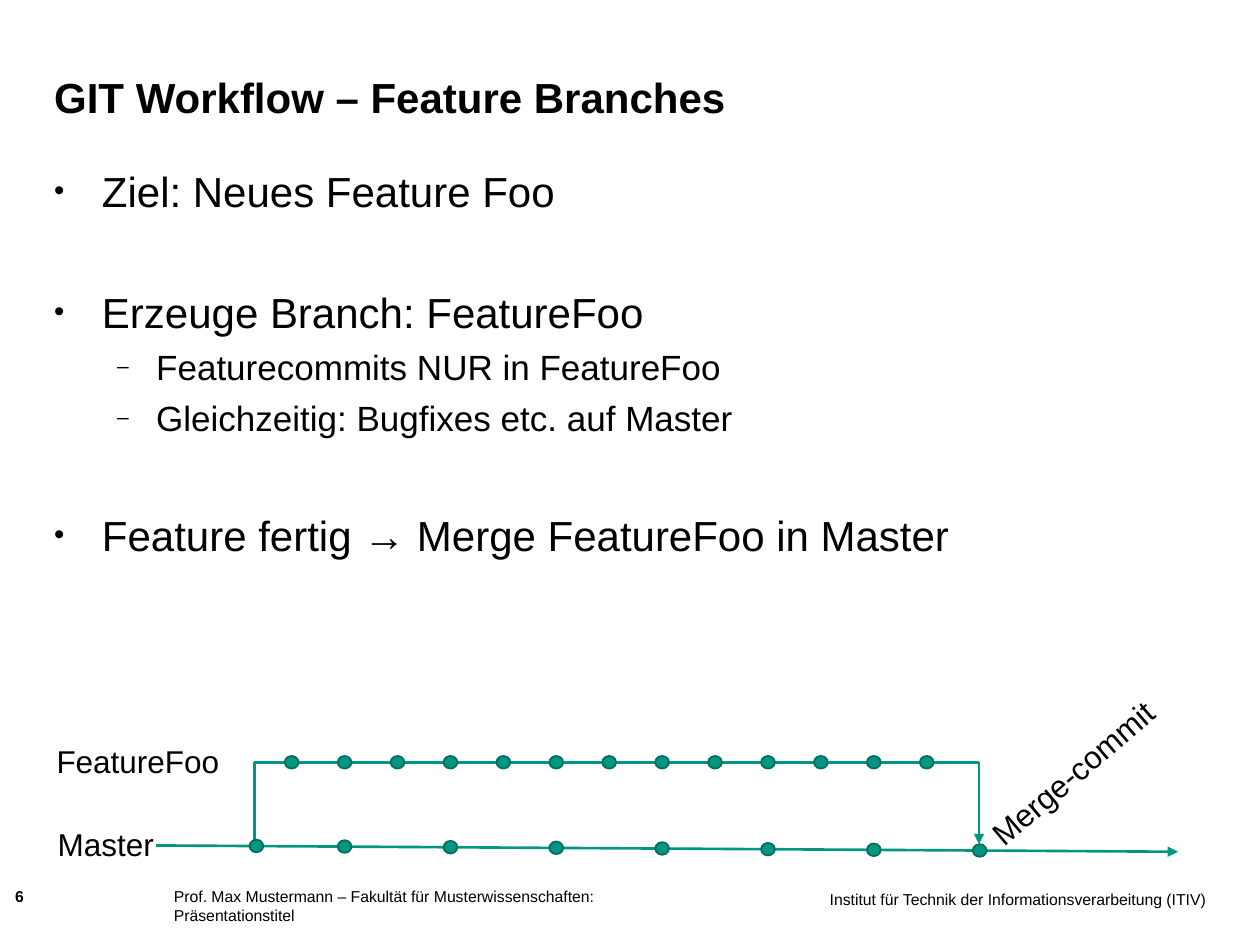
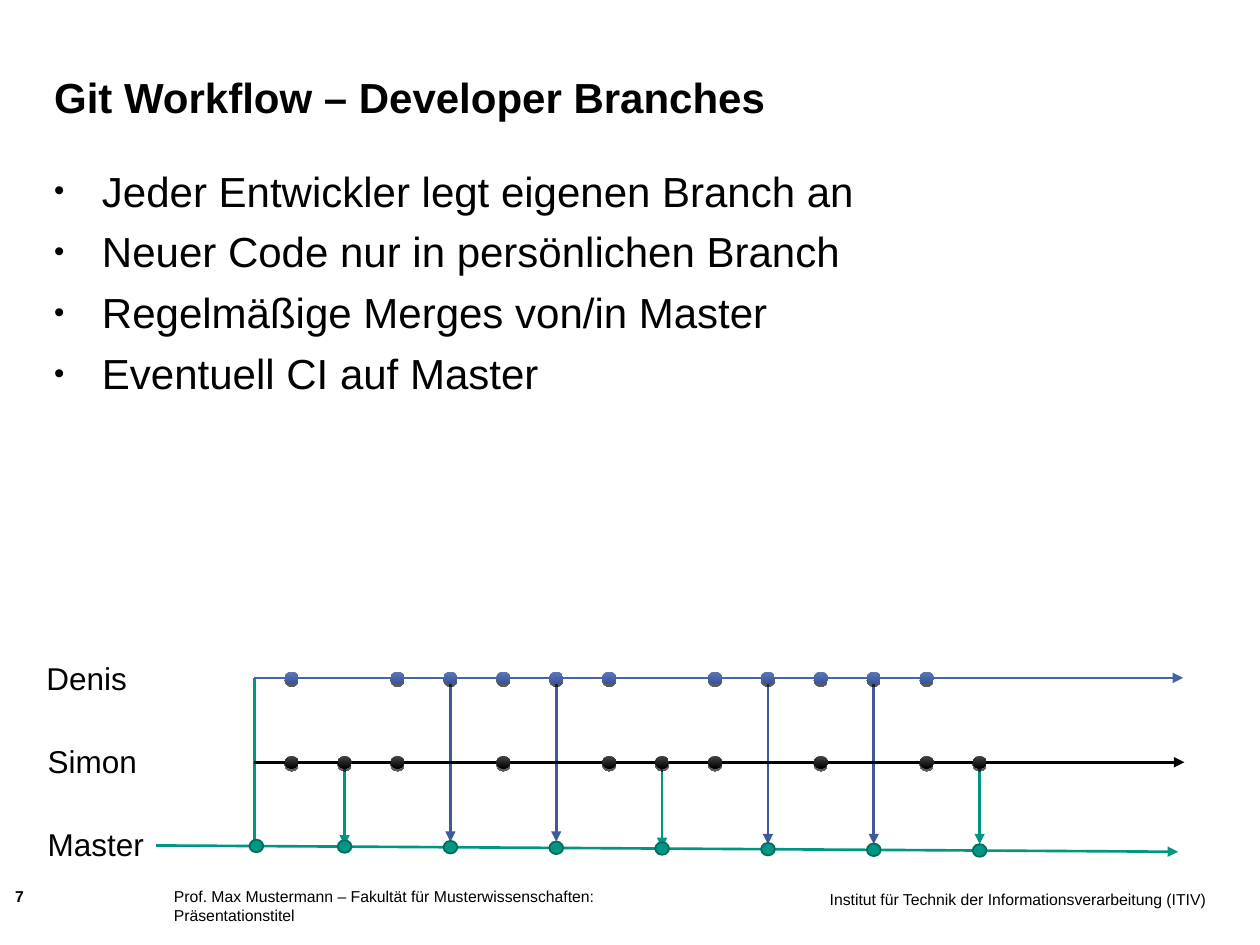
from dataclasses import dataclass
from typing import NamedTuple, Optional

import pptx
import pptx.dml.color
import pptx.enum.shapes
import pptx.enum.text
import pptx.oxml
import pptx.oxml.ns
import pptx.util
from pptx.util import Inches

COLORS = {
    "text": "000000",
    "green": "009682",
    "green_edge": "006D5E",
    "blue": "4664AA",
    "blue_merge": "3F5A9A",
    "blue_top": "6077B5",
    "blue_bottom": "34549F",
    "black": "000000",
    "black_top": "454545",
    "black_bottom": "000000",
}
FONT = "Arial"
FOOTER = "Prof. Max Mustermann – Fakultät für Musterwissenschaften: Präsentationstitel"
INSTITUTE = "Institut für Technik der Informationsverarbeitung (ITIV)"

SLOT_LEFT, SLOT_STEP = 2.26, 0.42
DOT_W, DOT_H = 0.11, 0.1
BRANCH_X, MERGE_X = 2.02, 7.77
LANE_1, LANE_2 = 6.05, 5.38
MASTER_START, MASTER_END = (1.24, 6.71), (9.35, 6.76)
MASTER_SLOTS = range(1, 14, 2)

ALIGN = pptx.enum.text.PP_ALIGN


class Bullet(NamedTuple):
    text: str
    level: int = 0
    gap: bool = False


class BulletStyle(NamedTuple):
    char: str
    scale: int
    size: int
    left: float
    hanging: float
    before: float


class Merge(NamedTuple):
    slot: int
    start: float
    end: float
    color: str


class Label(NamedTuple):
    text: str
    left: float
    top: float
    width: float
    rotation: float = 0


@dataclass(frozen=True)
class DotStyle:
    fill: str
    edge: Optional[str] = None
    fill_end: Optional[str] = None


BULLET_STYLES = (
    BulletStyle("•", 70, 24, 0.38, 0.38, 6),
    BulletStyle("–", 60, 20, 0.81, 0.31, 5),
)
GAP_BEFORE = 40.5
GREEN_DOT = DotStyle("green", edge="green_edge")
BLACK_DOT = DotStyle("black_top", fill_end="black_bottom")
BLUE_DOT = DotStyle("blue_top", fill_end="blue_bottom")


def rgb(name: str):
    return pptx.dml.color.RGBColor.from_string(COLORS[name])


def add_xml(parent, tag: str, inner: str = "", attrs: str = ""):
    ns = pptx.oxml.ns.nsdecls("a")
    parent.append(pptx.oxml.parse_xml(f"<a:{tag} {ns} {attrs}>{inner}</a:{tag}>"))


def add_run(p, text: str, size: float, bold: bool = False):
    r = p.add_run()
    r.text = text
    r.font.name = FONT
    r.font.size = pptx.util.Pt(size)
    r.font.bold = bold
    r.font.color.rgb = rgb("text")


def clear_margins(tf):
    tf.margin_left = tf.margin_right = tf.margin_top = tf.margin_bottom = 0
    tf.word_wrap = True
    tf.auto_size = pptx.enum.text.MSO_AUTO_SIZE.NONE


def place(sp, left: float, top: float, width: float, height: float):
    sp.left, sp.top = Inches(left), Inches(top)
    sp.width, sp.height = Inches(width), Inches(height)


def add_box(slide, left: float, top: float, width: float, height: float):
    sp = slide.shapes.add_textbox(
        Inches(left), Inches(top), Inches(width), Inches(height))
    clear_margins(sp.text_frame)
    return sp.text_frame


def add_bullets(slide, bullets: list[Bullet]):
    tf = add_box(slide, 0.43, 1.31, 9.14, 5.35)
    for i, bullet in enumerate(bullets):
        style = BULLET_STYLES[bullet.level]
        p = tf.paragraphs[0] if i == 0 else tf.add_paragraph()
        p.level = bullet.level
        if i:
            p.space_before = pptx.util.Pt(GAP_BEFORE if bullet.gap else style.before)
        pPr = p._p.get_or_add_pPr()
        pPr.set("marL", str(Inches(style.left)))
        pPr.set("indent", str(-Inches(style.hanging)))
        add_xml(pPr, "buClr", f'<a:srgbClr val="{COLORS["text"]}"/>')
        add_xml(pPr, "buSzPct", attrs=f'val="{style.scale * 1000}"')
        add_xml(pPr, "buFont", attrs=f'typeface="{FONT}"')
        add_xml(pPr, "buChar", attrs=f'char="{style.char}"')
        add_run(p, bullet.text, style.size)


def add_page(prs, title: str, number: int, bullets: list[Bullet]):
    slide = prs.slides.add_slide(prs.slide_layouts.get_by_name("Title Only"))
    sp = slide.shapes.title
    place(sp, 0.43, 0.36, 7.56, 0.61)
    tf = sp.text_frame
    clear_margins(tf)
    tf.vertical_anchor = pptx.enum.text.MSO_ANCHOR.BOTTOM
    tf.paragraphs[0].alignment = ALIGN.LEFT
    add_run(tf.paragraphs[0], title, 24, bold=True)

    p = add_box(slide, 6.34, 7.06, 3.23, 0.39).paragraphs[0]
    p.alignment = ALIGN.RIGHT
    add_run(p, INSTITUTE, 9)
    add_run(add_box(slide, 1.38, 7.04, 3.78, 0.39).paragraphs[0], FOOTER, 9)
    add_run(add_box(slide, 0.12, 7.04, 0.44, 0.19).paragraphs[0],
            str(number), 9, bold=True)
    add_bullets(slide, bullets)
    return slide


def add_line(slide, start: tuple[float, float], end: tuple[float, float],
             color: str, arrow: bool = False):
    cx = slide.shapes.add_connector(
        pptx.enum.shapes.MSO_CONNECTOR.STRAIGHT,
        Inches(start[0]), Inches(start[1]), Inches(end[0]), Inches(end[1]))
    cx.line.color.rgb = rgb(color)
    cx.line.width = pptx.util.Pt(1.5)
    if arrow:
        add_xml(cx.line._get_or_add_ln(), "tailEnd", attrs='type="triangle"')
    add_xml(cx._element.spPr, "effectLst")


def add_dot(slide, left: float, center_y: float, style: DotStyle):
    sp = slide.shapes.add_shape(
        pptx.enum.shapes.MSO_SHAPE.OVAL, Inches(left),
        Inches(center_y - DOT_H / 2), Inches(DOT_W), Inches(DOT_H))
    sp.shadow.inherit = False
    if style.fill_end:
        sp.fill.gradient()
        sp.fill.gradient_angle = 270
        for stop, name in zip(sp.fill.gradient_stops, (style.fill, style.fill_end)):
            stop.color.rgb = rgb(name)
        effects = sp._element.spPr.find(pptx.oxml.ns.qn("a:effectLst"))
        add_xml(effects, "outerShdw",
                '<a:srgbClr val="000000"><a:alpha val="63000"/></a:srgbClr>',
                'blurRad="0" dist="19050" dir="5400000" rotWithShape="0"')
    else:
        sp.fill.solid()
        sp.fill.fore_color.rgb = rgb(style.fill)
    if style.edge:
        sp.line.color.rgb = rgb(style.edge)
        sp.line.width = pptx.util.Pt(1)
    else:
        sp.line.fill.background()


def slot_left(slot: int) -> float:
    return SLOT_LEFT + SLOT_STEP * slot


def add_commits(slide, slots, center_y: float, style: DotStyle):
    for slot in slots:
        add_dot(slide, slot_left(slot), center_y, style)


def add_master(slide):
    (x0, y0), (x1, y1) = MASTER_START, MASTER_END
    add_line(slide, MASTER_START, MASTER_END, "green", arrow=True)
    for left in [1.98] + [slot_left(slot) for slot in MASTER_SLOTS]:
        center_y = y0 + (y1 - y0) * (left - x0) / (x1 - x0)
        add_dot(slide, left, center_y, GREEN_DOT)


def add_label(slide, label: Label):
    sp = slide.shapes.add_textbox(Inches(label.left), Inches(label.top),
                                  Inches(label.width), Inches(0.4))
    sp.rotation = label.rotation
    tf = sp.text_frame
    tf.word_wrap = False
    tf.auto_size = pptx.enum.text.MSO_AUTO_SIZE.SHAPE_TO_FIT_TEXT
    add_run(tf.paragraphs[0], label.text, 18)


def build_feature_branches(prs):
    slide = add_page(prs, "GIT Workflow – Feature Branches", 6, [
        Bullet("Ziel: Neues Feature Foo"),
        Bullet("Erzeuge Branch: FeatureFoo", gap=True),
        Bullet("Featurecommits NUR in FeatureFoo", level=1),
        Bullet("Gleichzeitig: Bugfixes etc. auf Master", level=1),
        Bullet("Feature fertig → Merge FeatureFoo in Master", gap=True),
    ])
    add_line(slide, (BRANCH_X, 6.73), (BRANCH_X, LANE_1), "green")
    add_line(slide, (BRANCH_X, LANE_1), (MERGE_X, LANE_1), "green")
    add_line(slide, (MERGE_X, LANE_1), (MERGE_X, 6.7), "green", arrow=True)
    add_master(slide)
    add_commits(slide, range(13), LANE_1, GREEN_DOT)
    for label in (Label("Master", 0.36, 6.5, 1),
                  Label("FeatureFoo", 0.35, 5.84, 1.52),
                  Label("Merge-commit", 7.61, 5.92, 1.84, 319.5)):
        add_label(slide, label)


def build_developer_branches(prs):
    slide = add_page(prs, "Git Workflow – Developer Branches", 7, [
        Bullet("Jeder Entwickler legt eigenen Branch an"),
        Bullet("Neuer Code nur in persönlichen Branch"),
        Bullet("Regelmäßige Merges von/in Master"),
        Bullet("Eventuell CI auf Master"),
    ])
    merges = [
        Merge(3, 5.43, 6.68, "blue_merge"),
        Merge(5, 5.43, 6.68, "blue_merge"),
        Merge(9, 5.43, 6.7, "blue_merge"),
        Merge(11, 5.43, 6.7, "blue_merge"),
        Merge(13, LANE_1, 6.7, "green"),
        Merge(7, 6.09, 6.73, "green"),
        Merge(1, 6.07, 6.71, "green"),
    ]
    for merge in merges:
        x = slot_left(merge.slot) + DOT_W / 2
        add_line(slide, (x, merge.start), (x, merge.end), merge.color, arrow=True)
    add_line(slide, (BRANCH_X, 6.73), (BRANCH_X, LANE_2), "green")
    add_line(slide, (BRANCH_X, LANE_1), (9.4, LANE_1), "black", arrow=True)
    add_line(slide, (BRANCH_X, LANE_2), (9.39, LANE_2), "blue", arrow=True)
    add_master(slide)
    add_commits(slide, (0, 1, 2, 4, 6, 7, 8, 10, 12, 13), LANE_1, BLACK_DOT)
    add_commits(slide, (0, 2, 3, 4, 5, 6, 8, 9, 10, 11, 12), LANE_2, BLUE_DOT)
    for label in (Label("Denis", 0.27, 5.18, 0.87),
                  Label("Simon", 0.28, 5.84, 0.94),
                  Label("Master", 0.28, 6.5, 1)):
        add_label(slide, label)


def main():
    prs = pptx.Presentation()
    prs.slide_width, prs.slide_height = Inches(10), Inches(7.5)
    build_feature_branches(prs)
    build_developer_branches(prs)
    prs.save("out.pptx")


if __name__ == "__main__":
    main()
